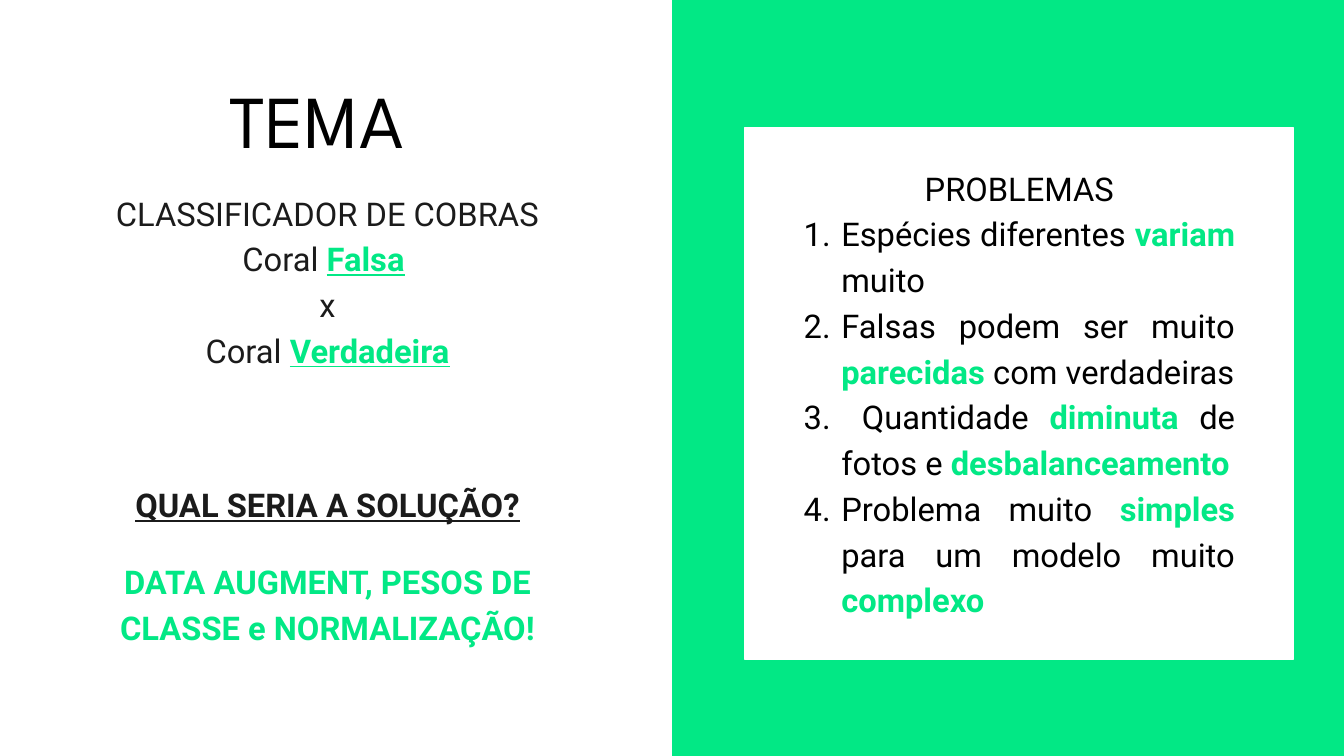
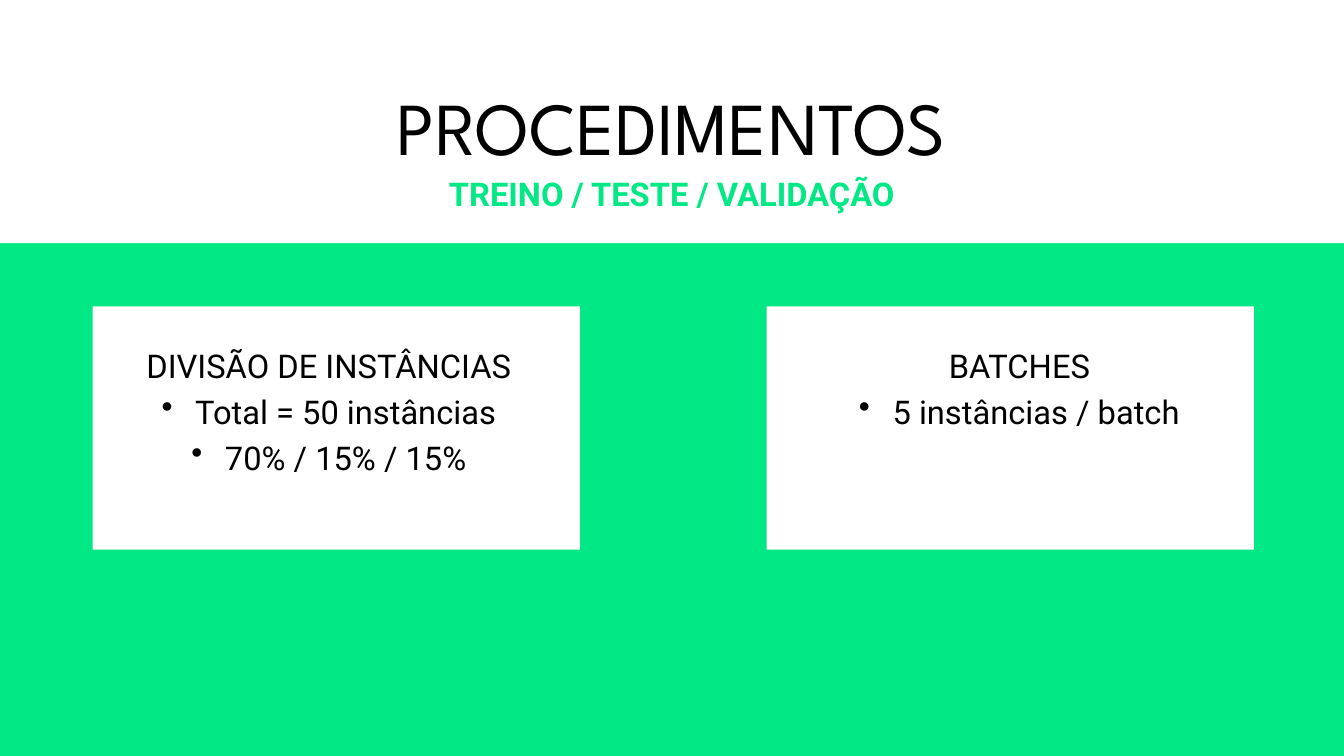
import dataclasses

import lxml.etree
import pptx
import pptx.dml.color
import pptx.enum.shapes
import pptx.enum.text
import pptx.oxml.ns
import pptx.util

Inches = pptx.util.Inches
Pt = pptx.util.Pt
Align = pptx.enum.text.PP_ALIGN


@dataclasses.dataclass(frozen=True)
class Theme:
    green: str = "02E885"
    white: str = "FFFFFF"
    black: str = "000000"
    ink: str = "1B1B1B"
    title_font: str = "League Spartan"
    body_font: str = "Roboto"
    title_size: int = 80
    title_leading: int = 100
    body_size: int = 35
    body_leading: int = 49


NUMBER = ("a:buAutoNum", {"type": "arabicPeriod"})
DOT = ("a:buChar", {"char": "•"})


class Deck:
    def __init__(self, theme):
        self.theme = theme
        self.prs = pptx.Presentation()
        self.prs.slide_width = Inches(20)
        self.prs.slide_height = Inches(11.25)
        self.slide = None

    def new_slide(self):
        self.slide = self.prs.slides.add_slide(self.prs.slide_layouts[5])
        fill = self.slide.background.fill
        fill.solid()
        fill.fore_color.rgb = self.colour(self.theme.green)

    def colour(self, value):
        return pptx.dml.color.RGBColor.from_string(value)

    def panel(self, left, top, width, height, outline=False):
        panel = self.slide.shapes.add_shape(
            pptx.enum.shapes.MSO_SHAPE.RECTANGLE,
            Inches(left), Inches(top), Inches(width), Inches(height))
        panel.shadow.inherit = False
        panel.fill.solid()
        panel.fill.fore_color.rgb = self.colour(self.theme.white)
        if outline:
            panel.line.color.rgb = self.colour(self.theme.white)
            panel.line.width = Pt(2)
        else:
            panel.line.fill.background()

    def prepare_frame(self, frame):
        frame.word_wrap = True
        frame.auto_size = pptx.enum.text.MSO_AUTO_SIZE.SHAPE_TO_FIT_TEXT
        frame.vertical_anchor = pptx.enum.text.MSO_ANCHOR.TOP
        frame.margin_left = frame.margin_right = 0
        frame.margin_top = frame.margin_bottom = 0

    def format_run(self, run, font, size, colour, bold=False, underline=False):
        run.font.name = font
        run.font.size = Pt(size)
        run.font.color.rgb = self.colour(colour)
        run.font.bold = bold
        run.font.underline = underline

    def title(self, text, left, top, width, height):
        title = self.slide.shapes.title
        title.left, title.top = Inches(left), Inches(top)
        title.width, title.height = Inches(width), Inches(height)
        # Bring the title in front of the panels
        title.element.getparent().append(title.element)
        title.text_frame.text = text
        self.prepare_frame(title.text_frame)
        paragraph = title.text_frame.paragraphs[0]
        paragraph.alignment = Align.CENTER
        paragraph.line_spacing = Pt(self.theme.title_leading)
        self.format_run(paragraph.runs[0], self.theme.title_font,
                        self.theme.title_size, self.theme.black)

    def text(self, lines, left, top, width, height, colour=None,
             underline=False, bullet=None, indent=0.5, item_align=Align.CENTER):
        """Words between asterisks are green and bold; a bullet marks all lines but the first."""
        theme = self.theme
        box = self.slide.shapes.add_textbox(
            Inches(left), Inches(top), Inches(width), Inches(height))
        frame = box.text_frame
        self.prepare_frame(frame)
        for index, line in enumerate(lines):
            paragraph = frame.paragraphs[0] if index == 0 else frame.add_paragraph()
            paragraph.alignment = Align.CENTER
            if bullet and index:
                self.add_bullet(paragraph, bullet, indent)
                paragraph.alignment = item_align
            paragraph.line_spacing = Pt(theme.body_leading)
            for part, words in enumerate(line.split("*")):
                if not words:
                    continue
                strong = part % 2 == 1
                run = paragraph.add_run()
                run.text = words
                self.format_run(run, theme.body_font, theme.body_size,
                                theme.green if strong else colour or theme.black,
                                bold=strong, underline=strong and underline)
        return frame

    def add_bullet(self, paragraph, bullet, indent):
        tag, attributes = bullet
        properties = paragraph._p.get_or_add_pPr()
        properties.set("marL", str(Inches(indent)))
        properties.set("indent", str(-Inches(indent)))
        lxml.etree.SubElement(properties, pptx.oxml.ns.qn(tag), attributes)


def build_theme_slide(deck):
    deck.new_slide()
    deck.panel(11.08, 1.9, 8.17, 7.91, outline=True)
    deck.panel(0, 0, 10, 11.25)
    deck.title("TEMA", 1, 1.04, 7.42, 1.37)

    # Left column: subject, question and answer
    left, width = 1, 7.75
    deck.text(["CLASSIFICADOR DE COBRAS", "Coral *Falsa* ", "x", "Coral *Verdadeira*"],
              left, 2.78, width, 2.68, colour=deck.theme.ink, underline=True)
    question = deck.text(["*QUAL SERIA A SOLUÇÃO?*"], left, 7.12, width, 0.64,
                         underline=True)
    question.paragraphs[0].runs[0].font.color.rgb = deck.colour(deck.theme.ink)
    deck.text(["*DATA AUGMENT, PESOS DE CLASSE e NORMALIZAÇÃO!*"],
              left, 8.26, width, 1.32)

    # Right card: numbered problems
    deck.text(["PROBLEMAS",
               "Espécies diferentes *variam *muito",
               "Falsas podem ser muito *parecidas* com verdadeiras",
               " Quantidade *diminuta* de fotos e *desbalanceamento*",
               "Problema muito *simples* para um modelo muito *complexo *"],
              11.96, 2.41, 6.42, 7.51,
              bullet=NUMBER, indent=0.56, item_align=Align.JUSTIFY)


def build_procedure_slide(deck):
    deck.new_slide()
    for card_left in (11.41, 1.38):
        deck.panel(card_left, 4.56, 7.25, 3.62)

    # Header band
    deck.panel(0, 0, 20, 3.62)
    deck.title("PROCEDIMENTOS", 0.02, 1.14, 19.95, 1.4)
    deck.text(["*TREINO / TESTE / VALIDAÇÃO*"], 6.07, 2.49, 7.86, 0.64)

    # Card contents
    deck.text(["DIVISÃO DE INSTÂNCIAS", "Total = 50 instâncias", "70% / 15% / 15%"],
              -0.08, 5.05, 9.95, 2.01, bullet=DOT)
    deck.text(["BATCHES", "5 instâncias / batch"],
              10.16, 5.05, 10.02, 1.32, bullet=DOT)


def main():
    deck = Deck(Theme())
    build_theme_slide(deck)
    build_procedure_slide(deck)
    deck.prs.save("out.pptx")


if __name__ == "__main__":
    main()
